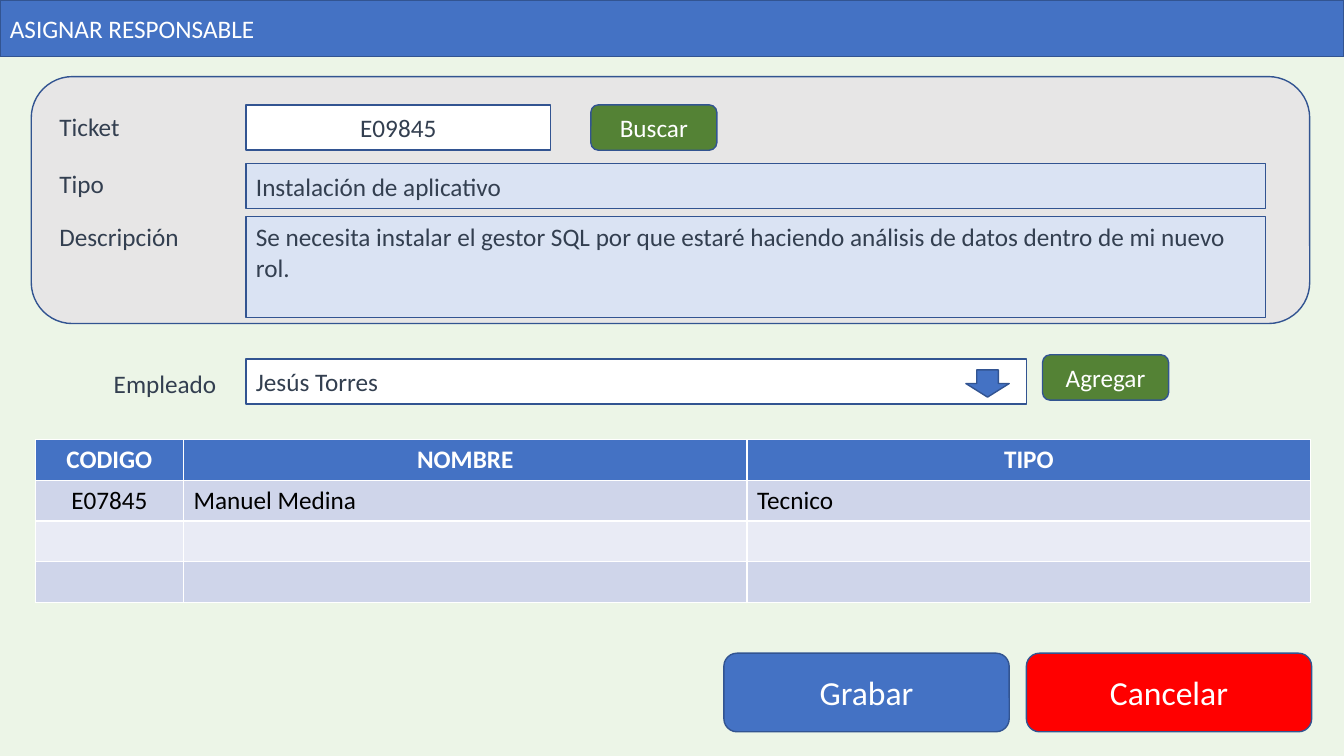
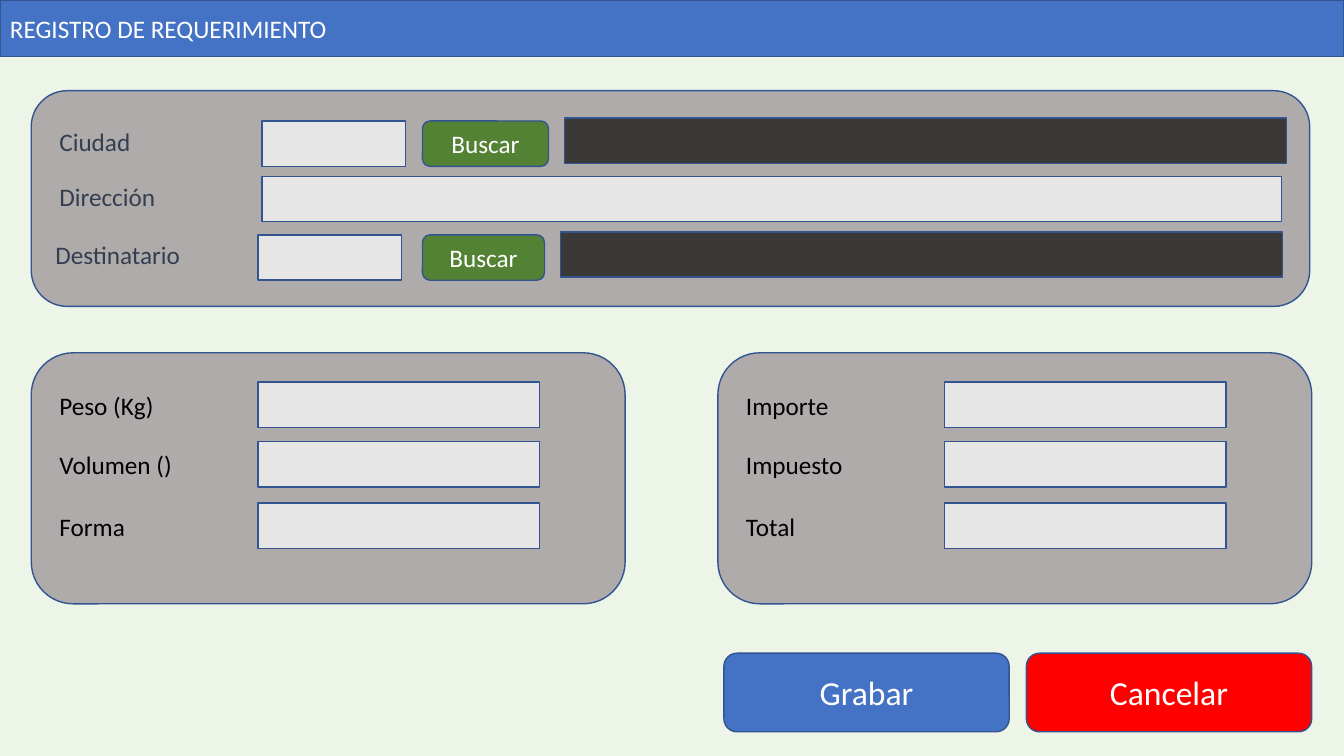
"""Build two ticket and shipment form screens as slides."""
from dataclasses import dataclass

from pptx import Presentation
from pptx.dml.color import RGBColor
from pptx.enum.shapes import MSO_SHAPE
from pptx.enum.text import MSO_ANCHOR, PP_ALIGN
from pptx.util import Inches, Pt

FONT = "Calibri"
BLUE, OUTLINE, GREEN, RED = "4472C4", "325491", "548235", "FF0000"
WHITE, BLACK, SLATE, CHARCOAL = "FFFFFF", "000000", "333F50", "3B3838"
LIGHT_GRAY, GRAY, PALE_BLUE, MINT = "E7E6E6", "AFABAB", "DAE3F3", "ECF5E7"
BANDS = ("CFD5EA", "E9EBF5")
SLIDE_WIDTH, SLIDE_HEIGHT = 13.33, 7.5
MARGIN, FIELD_HEIGHT = 0.31, 0.45
LABEL_LEFT, FIELD_LEFT = 0.49, 2.44


@dataclass(frozen=True)
class Look:
    fill: str
    color: str = WHITE
    size: int = 18
    align: PP_ALIGN = PP_ALIGN.CENTER
    anchor: MSO_ANCHOR = MSO_ANCHOR.MIDDLE
    outline: MSO_SHAPE = MSO_SHAPE.RECTANGLE


@dataclass(frozen=True)
class Box:
    left: float
    top: float
    width: float
    look: Look
    text: str = ""
    height: float = FIELD_HEIGHT


@dataclass(frozen=True)
class Label:
    left: float
    top: float
    text: str
    color: str = SLATE
    width: float = 1.75


HEADER = Look(BLUE, align=PP_ALIGN.LEFT)
SAVE = Look(BLUE, size=24, outline=MSO_SHAPE.ROUNDED_RECTANGLE)
CANCEL = Look(RED, size=24, outline=MSO_SHAPE.ROUNDED_RECTANGLE)
ACTION = Look(GREEN, outline=MSO_SHAPE.ROUNDED_RECTANGLE)
LIGHT_PANEL = Look(LIGHT_GRAY, outline=MSO_SHAPE.ROUNDED_RECTANGLE)
GRAY_PANEL = Look(GRAY, outline=MSO_SHAPE.ROUNDED_RECTANGLE)
CODE = Look(WHITE, SLATE)
CHOICE = Look(WHITE, SLATE, align=PP_ALIGN.LEFT)
READ_ONLY = Look(PALE_BLUE, SLATE, align=PP_ALIGN.LEFT)
MULTILINE = Look(PALE_BLUE, SLATE, align=PP_ALIGN.LEFT, anchor=MSO_ANCHOR.TOP)
INPUT = Look(LIGHT_GRAY)
RESULT = Look(CHARCOAL)
ARROW = Look(BLUE, outline=MSO_SHAPE.DOWN_ARROW)


def rgb(value: str) -> RGBColor:
    """Turn a hex string into a colour."""
    return RGBColor.from_string(value)


def style_text(paragraph, color: str, size: int, align: PP_ALIGN, bold: bool = False) -> None:
    """Set font and alignment of a paragraph."""
    paragraph.alignment = align
    paragraph.font.name = FONT
    paragraph.font.size = Pt(size)
    paragraph.font.bold = bold
    paragraph.font.color.rgb = rgb(color)


def draw_box(slide, box: Box) -> None:
    """Draw an outlined shape with optional text."""
    look = box.look
    shape = slide.shapes.add_shape(look.outline, Inches(box.left), Inches(box.top),
                                   Inches(box.width), Inches(box.height))
    shape.shadow.inherit = False
    shape.fill.solid()
    shape.fill.fore_color.rgb = rgb(look.fill)
    shape.line.color.rgb = rgb(OUTLINE)
    shape.line.width = Pt(1)
    if box.text:
        frame = shape.text_frame
        frame.word_wrap = True
        frame.vertical_anchor = look.anchor
        frame.text = box.text
        style_text(frame.paragraphs[0], look.color, look.size, look.align)


def draw_label(slide, label: Label) -> None:
    """Draw the caption of a field."""
    caption = slide.shapes.add_textbox(Inches(label.left), Inches(label.top),
                                       Inches(label.width), Inches(0.4))
    frame = caption.text_frame
    frame.word_wrap = True
    frame.text = label.text
    style_text(frame.paragraphs[0], label.color, 18, PP_ALIGN.LEFT)


def draw_items(slide, items: list[Box | Label]) -> None:
    """Draw boxes and labels from back to front."""
    for item in items:
        if isinstance(item, Box):
            draw_box(slide, item)
        else:
            draw_label(slide, item)


def add_screen(deck, title: str):
    """Add a slide with the title band and the bottom buttons."""
    slide = deck.slides.add_slide(deck.slide_layouts[6])
    draw_items(slide, [
        Box(0, 0, SLIDE_WIDTH, HEADER, title, 0.56),
        Box(7.18, 6.48, 2.83, SAVE, "Grabar", 0.78),
        Box(10.18, 6.48, 2.83, CANCEL, "Cancelar", 0.78),
    ])
    return slide


def draw_staff_table(slide) -> None:
    """Draw the table of assigned employees."""
    rows = [("CODIGO", "NOMBRE", "TIPO"), ("E07845", "Manuel Medina", "Tecnico"),
            ("", "", ""), ("", "", "")]
    widths = (1.47, 5.59, 5.59)
    staff = slide.shapes.add_table(len(rows), len(widths), Inches(0.35), Inches(4.36),
                                   Inches(sum(widths)), Inches(1.62)).table
    for column, width in zip(staff.columns, widths):
        column.width = Inches(width)
    for row_index, row in enumerate(rows):
        heading = row_index == 0
        for column_index, text in enumerate(row):
            cell = staff.cell(row_index, column_index)
            cell.fill.solid()
            cell.fill.fore_color.rgb = rgb(BLUE if heading else BANDS[(row_index - 1) % 2])
            cell.text = text
            centred = heading or column_index == 0
            style_text(cell.text_frame.paragraphs[0], WHITE if heading else BLACK, 18,
                       PP_ALIGN.CENTER if centred else PP_ALIGN.LEFT, heading)


def build_assignment(deck) -> None:
    """Build the screen that assigns a person to a ticket."""
    slide = add_screen(deck, "ASIGNAR RESPONSABLE")
    request = ("Se necesita instalar el gestor SQL por que estaré haciendo análisis "
               "de datos dentro de mi nuevo rol.")
    draw_items(slide, [
        Box(MARGIN, 0.76, 12.68, LIGHT_PANEL, height=2.45),
        Label(LABEL_LEFT, 1.06, "Ticket"),
        Box(FIELD_LEFT, 1.04, 3.02, CODE, "E09845"),
        Box(5.86, 1.04, 1.25, ACTION, "Buscar"),
        Label(LABEL_LEFT, 1.62, "Tipo"),
        Box(FIELD_LEFT, 1.62, 10.11, READ_ONLY, "Instalación de aplicativo"),
        Label(LABEL_LEFT, 2.15, "Descripción"),
        Box(FIELD_LEFT, 2.15, 10.11, MULTILINE, request, 1),
        Label(1.03, 3.6, "Empleado", width=1.24),
        Box(FIELD_LEFT, 3.56, 7.74, CHOICE, "Jesús Torres"),
        Box(9.58, 3.67, 0.43, ARROW, height=0.27),
        Box(10.34, 3.52, 1.25, ACTION, "Agregar"),
    ])
    draw_staff_table(slide)


def draw_search_row(slide, top: float, caption: str, shift: float, button_width: float) -> None:
    """Draw a code field with its search button and result."""
    draw_items(slide, [
        Label(LABEL_LEFT - shift, top, caption),
        Box(2.6 - shift, top, 1.42, INPUT),
        Box(4.19, top, button_width, ACTION, "Buscar"),
        Box(5.6 - shift, top - 0.03, 7.16, RESULT),
    ])


def draw_amount_panel(slide, left: float, captions: tuple[str, ...]) -> None:
    """Draw a panel of captioned input fields."""
    draw_box(slide, Box(left, 3.5, 5.89, GRAY_PANEL, height=2.49))
    for top, caption in zip((3.79, 4.38, 4.99), captions):
        draw_items(slide, [
            Label(left + 0.18, top + 0.03, caption, BLACK),
            Box(left + 2.25, top, 2.79, INPUT),
        ])


def build_registration(deck) -> None:
    """Build the screen that registers a shipment."""
    slide = add_screen(deck, "REGISTRO DE REQUERIMIENTO")
    draw_box(slide, Box(MARGIN, 0.9, 12.68, GRAY_PANEL, height=2.14))
    draw_search_row(slide, 1.2, "Ciudad", 0, 1.25)
    draw_items(slide, [
        Label(LABEL_LEFT, 1.75, "Dirección"),
        Box(2.6, 1.75, 10.11, INPUT),
    ])
    draw_search_row(slide, 2.33, "Destinatario", 0.04, 1.21)
    draw_amount_panel(slide, MARGIN, ("Peso (Kg)", "Volumen ()", "Forma"))
    draw_amount_panel(slide, 7.12, ("Importe", "Impuesto", "Total"))


def main() -> None:
    """Create the deck and save it."""
    deck = Presentation()
    deck.slide_width = Inches(SLIDE_WIDTH)
    deck.slide_height = Inches(SLIDE_HEIGHT)
    backdrop = deck.slide_master.background.fill
    backdrop.solid()
    backdrop.fore_color.rgb = rgb(MINT)
    build_assignment(deck)
    build_registration(deck)
    deck.save("out.pptx")


if __name__ == "__main__":
    main()
